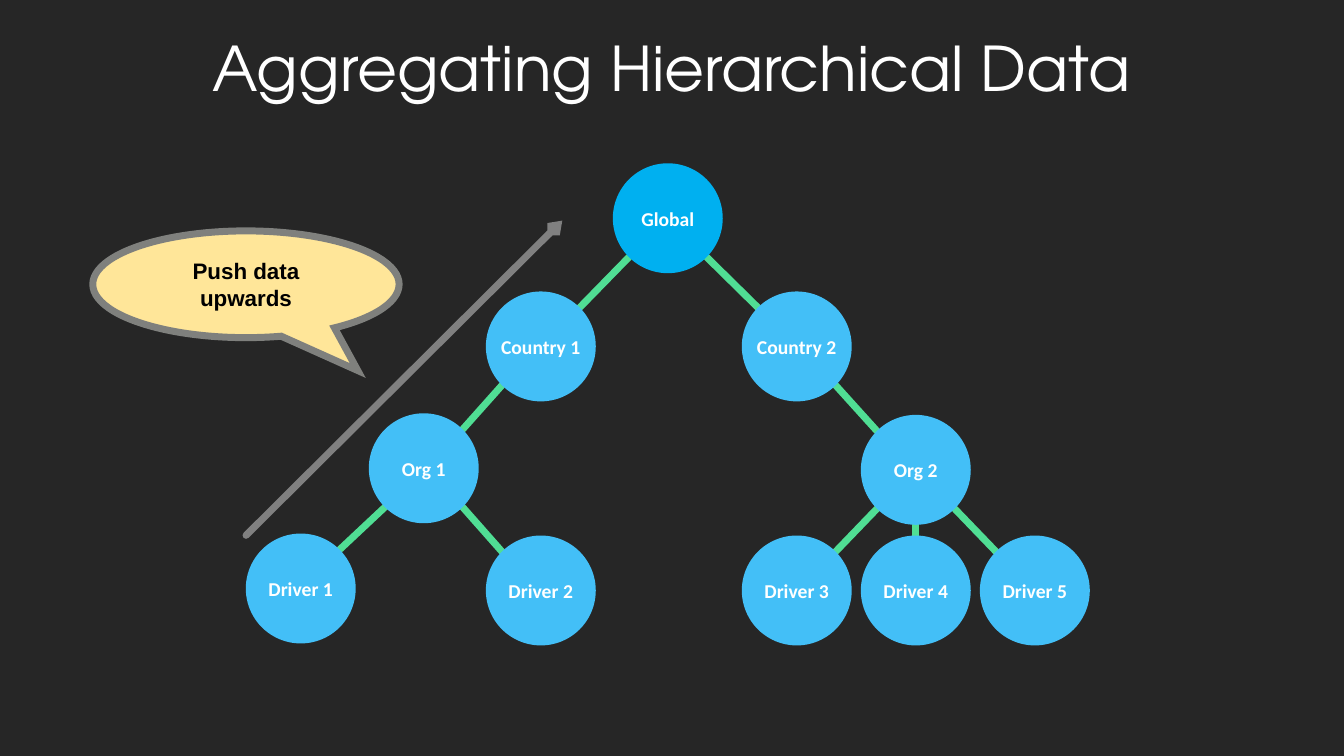
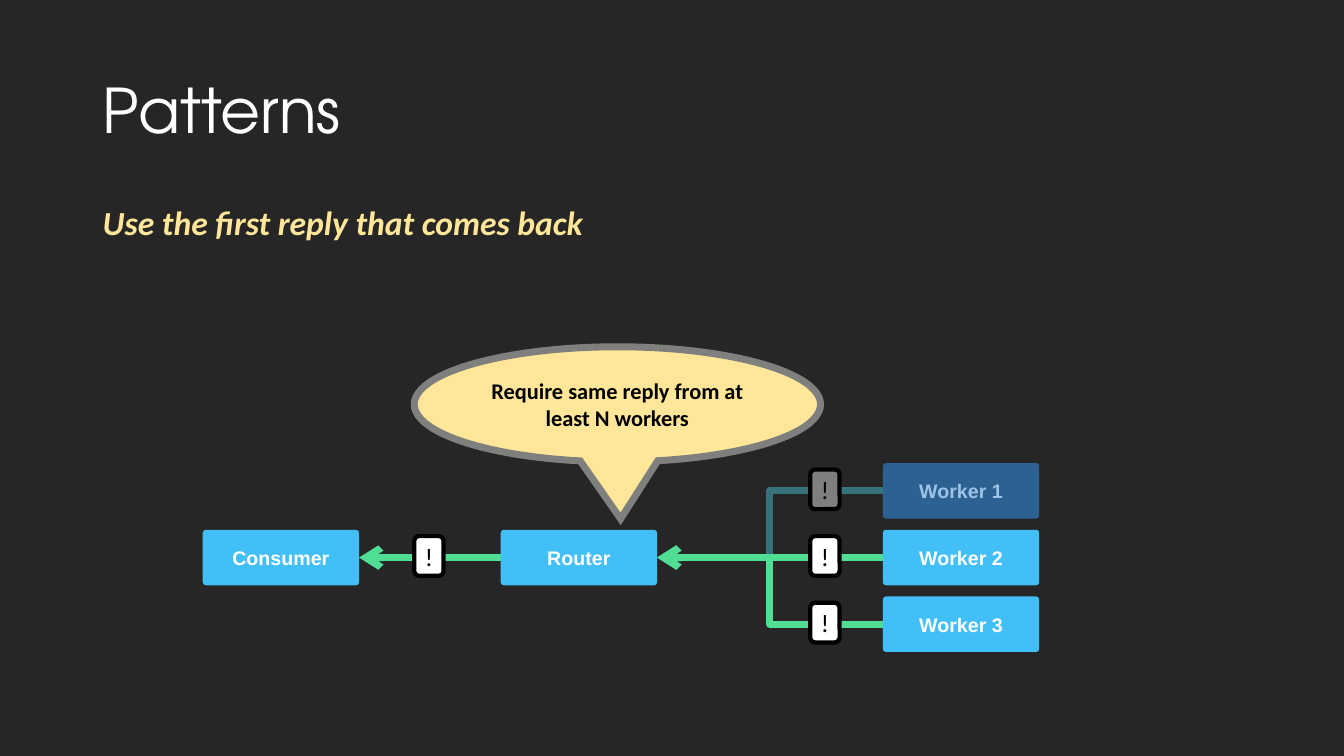
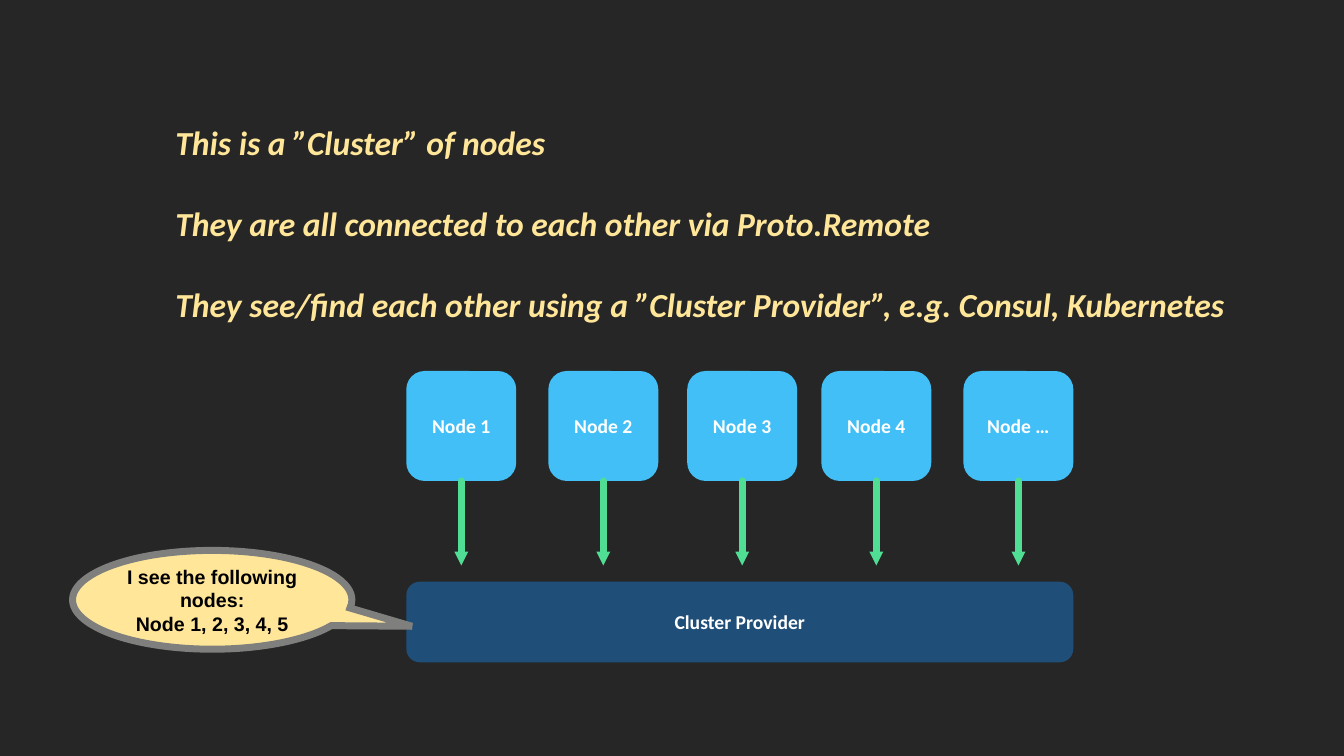
from lxml import etree
from pptx import Presentation
from pptx.dml.color import RGBColor
from pptx.enum import shapes, text
from pptx.oxml import ns
from pptx.util import Cm, Pt

DARK, WHITE, BLACK = "262626", "FFFFFF", "000000"
SKY, AZURE, NAVY = "43BFF7", "00B0F0", "1F4E79"
GREEN, CREAM, GREY = "50DE94", "FFE699", "7F807D"
FADED_BLUE, FADED_GREEN, FADED_TEXT = "2C6191", "36727A", "9DC3E6"
SHAPE = shapes.MSO_SHAPE
ALIGN = text.PP_ALIGN
DIAMETER = 2.77


def color(value):
    """Turn a hex string into a colour."""
    return RGBColor.from_string(value)


class Deck:
    """Holds the shared style and the current slide."""

    def __init__(self):
        """Start a dark wide presentation."""
        self.deck = Presentation()
        self.deck.slide_width, self.deck.slide_height = Cm(33.87), Cm(19.05)
        fill = self.deck.slide_master.background.fill
        fill.solid()
        fill.fore_color.rgb = color(DARK)
        self.page = None

    def add_page(self, layout):
        """Add a slide and make it current."""
        self.page = self.deck.slides.add_slide(self.deck.slide_layouts[layout])

    def title_page(self, words, place, align):
        """Add a title-only slide with its title set."""
        self.add_page(5)
        box = self.page.shapes.title
        box.left, box.top, box.width, box.height = map(Cm, place)
        self.set_text(box, words, 44, WHITE, "TeX Gyre Adventor", False, align)
        box.text_frame.paragraphs[0].line_spacing = 0.9

    def set_text(self, box, words, size, ink, font="Calibri", bold=True, align=ALIGN.CENTER,
                 anchor=text.MSO_ANCHOR.MIDDLE, wrap=True):
        """Fill a shape with uniformly formatted text."""
        frame = box.text_frame
        frame.text = words
        frame.word_wrap = wrap
        frame.auto_size = text.MSO_AUTO_SIZE.NONE
        frame.vertical_anchor = anchor
        for para in frame.paragraphs:
            para.alignment = align
            para.font.size, para.font.name, para.font.bold = Pt(size), font, bold
            para.font.color.rgb = color(ink)

    def note(self, words, left, top, width, height):
        """Add cream italic statements and return their paragraphs."""
        box = self.page.shapes.add_textbox(Cm(left), Cm(top), Cm(width), Cm(height))
        self.set_text(box, words, 24, CREAM, align=ALIGN.LEFT, anchor=text.MSO_ANCHOR.TOP)
        for para in box.text_frame.paragraphs:
            para.font.italic = True
        return box.text_frame.paragraphs

    def shape(self, kind, left, top, width, height, fill, adjust=()):
        """Add a flat filled shape without outline."""
        box = self.page.shapes.add_shape(kind, Cm(left), Cm(top), Cm(width), Cm(height))
        box.shadow.inherit = False
        box.fill.solid()
        box.fill.fore_color.rgb = color(fill)
        box.line.fill.background()
        for index, value in enumerate(adjust):
            box.adjustments[index] = value
        return box

    def outline(self, box, ink, width):
        """Give a shape or connector a solid line and return its element."""
        box.line.color.rgb = color(ink)
        box.line.width = Pt(width)
        return box.element.spPr.find(ns.qn("a:ln"))

    def circle(self, words, x, y, fill=SKY):
        """Add a tree node around a centre."""
        box = self.shape(SHAPE.OVAL, x - DIAMETER / 2, y - DIAMETER / 2, DIAMETER, DIAMETER, fill)
        self.set_text(box, words, 14, WHITE, wrap=False)

    def block(self, words, left, top, width, height, fill=SKY):
        """Add a rounded box with a white label."""
        box = self.shape(SHAPE.ROUNDED_RECTANGLE, left, top, width, height, fill)
        self.set_text(box, words, 14, WHITE)

    def service(self, words, left, y, fill=SKY, ink=WHITE):
        """Add a service box centred on a row."""
        box = self.shape(SHAPE.ROUNDED_RECTANGLE, left, y - 0.7, 3.94, 1.4, fill, [0.06])
        self.set_text(box, words, 14, ink, "Arial")

    def badge(self, x, y, fill=WHITE):
        """Add a message badge around a centre."""
        box = self.shape(SHAPE.ROUNDED_RECTANGLE, x - 0.37, y - 0.54, 0.74, 1, fill)
        self.outline(box, BLACK, 3)
        self.set_text(box, "!", 18, BLACK, bold=False)
        frame = box.text_frame
        frame.margin_left = frame.margin_right = frame.margin_top = frame.margin_bottom = 0

    def callout(self, words, place, tip, size, font="Arial"):
        """Add a speech bubble pointing at a relative tip."""
        box = self.shape(SHAPE.OVAL_CALLOUT, *place, CREAM, tip)
        line = self.outline(box, GREY, 5)
        etree.SubElement(line, ns.qn("a:miter"), lim="800000")
        self.set_text(box, words, size, BLACK, font)

    def link(self, start, end, ink=GREEN, bent=False, head=None, tail=None, size="sm"):
        """Add a thick connector with optional arrowheads."""
        kind = shapes.MSO_CONNECTOR.ELBOW if bent else shapes.MSO_CONNECTOR.STRAIGHT
        wire = self.page.shapes.add_connector(kind, *map(Cm, start + end))
        line = self.outline(wire, ink, 5)
        line.set("cap", "rnd")
        etree.SubElement(line, ns.qn("a:round"))
        for tag, arrow in (("a:headEnd", head), ("a:tailEnd", tail)):
            if arrow:
                etree.SubElement(line, ns.qn(tag), type=arrow, w=size, len=size)
        etree.SubElement(wire.element.spPr, ns.qn("a:effectLst"))


def hierarchy(deck):
    """Build the tree of aggregated data."""
    deck.title_page("Aggregating Hierarchical Data", (0, 0, 33.87, 3.63), ALIGN.CENTER)
    nodes = {
        "Global": (16.83, 5.5), "Country 1": (13.63, 8.73), "Country 2": (20.08, 8.73),
        "Org 1": (10.68, 11.8), "Org 2": (23.08, 11.84),
        "Driver 1": (7.58, 14.83), "Driver 2": (13.63, 14.88), "Driver 3": (20.08, 14.88),
        "Driver 4": (23.08, 14.88), "Driver 5": (26.08, 14.88),
    }
    children = {
        "Global": ("Country 1", "Country 2"), "Country 1": ("Org 1",), "Country 2": ("Org 2",),
        "Org 1": ("Driver 1", "Driver 2"), "Org 2": ("Driver 3", "Driver 4", "Driver 5"),
    }
    for parent, names in children.items():
        for name in names:
            (x1, y1), (x2, y2) = nodes[parent], nodes[name]
            side = (x2 > x1) - (x2 < x1)
            reach = DIAMETER / 2 * (0.71 if side else 1)
            deck.link((x1 + side * reach, y1 + reach), (x2 - side * reach, y2 - reach))
    for name, (x, y) in nodes.items():
        deck.circle(name, x, y, AZURE if name == "Global" else SKY)
    deck.link((6.2, 13.49), (14.17, 5.56), "808080", tail="arrow")
    deck.callout("Push data upwards", (2.34, 5.82, 7.72, 2.69), (0.365, 0.808), 16)


def patterns(deck):
    """Build the first-reply pattern."""
    deck.title_page("Patterns", (2.34, 1.02, 29.21, 3.68), ALIGN.LEFT)
    deck.note("Use the first reply that comes back", 2.34, 5.08, 29.21, 1.5)[0].line_spacing = 0.9
    row, gap = 14.05, 1.68
    consumer, router, worker = 5.11, 12.62, 22.25
    inlet = (router + 3.94, row)
    deck.link(inlet, (worker, row + gap), bent=True, head="arrow", size="med")
    deck.link(inlet, (worker, row - gap), FADED_GREEN, bent=True, head="arrow", size="med")
    deck.link(inlet, (worker, row), head="arrow", size="med")
    deck.link((consumer + 3.94, row), (router, row), head="arrow", size="med")
    deck.badge(10.81, row)
    deck.service("Consumer", consumer, row)
    deck.service("Router", router, row)
    for number in (1, 2, 3):
        y = row + (number - 2) * gap
        faded = number == 1
        deck.badge(20.79, y, GREY if faded else WHITE)
        deck.service(f"Worker {number}", worker, y, FADED_BLUE if faded else SKY,
                     FADED_TEXT if faded else WHITE)
    deck.callout("Require same reply from at least N workers", (10.44, 8.74, 10.24, 2.9),
                 (0.008, 0.995), 16, "Calibri")


def cluster(deck):
    """Build the cluster of nodes and its provider."""
    deck.add_page(6)
    statements = deck.note(
        "This is a ”Cluster” of nodes\n"
        "They are all connected to each other via Proto.Remote\n"
        "They see/find each other using a ”Cluster Provider”, e.g. Consul, Kubernetes",
        4.17, 2.95, 28.07, 5.38)
    for para in statements[1:]:
        para.space_before = Pt(29)
    lefts = {"1": 10.24, "2": 13.82, "3": 17.32, "4": 20.7, "…": 24.28}
    for label, left in lefts.items():
        deck.block(f"Node {label}", left, 9.35, DIAMETER, DIAMETER)
        x = left + DIAMETER / 2
        deck.link((x, 12.12), (x, 14.25), tail="triangle")
    deck.block("Cluster Provider", 10.24, 14.66, 16.81, 2.03, NAVY)
    deck.callout("I see the following nodes:\nNode 1, 2, 3, 4, 5", (1.83, 13.87, 7.04, 2.49),
                 (0.715, 0.268), 14)


def main():
    """Build and save the presentation."""
    deck = Deck()
    for build in (hierarchy, patterns, cluster):
        build(deck)
    deck.deck.save("out.pptx")


if __name__ == "__main__":
    main()
